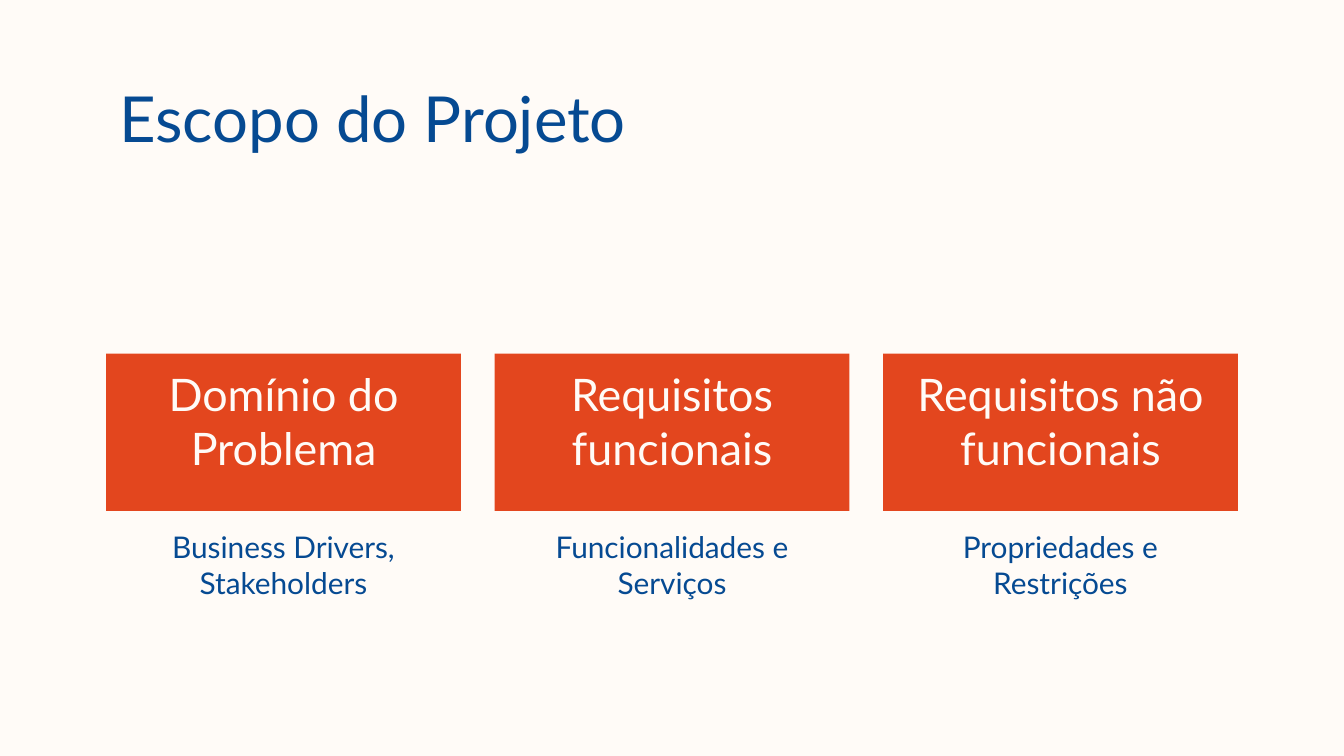
from pptx import Presentation
from pptx import util as u
from pptx.dml.color import RGBColor
from pptx.enum import shapes, text

COLORS = {"background": "FFFBF7", "blue": "064A92", "orange": "E3461E"}
LEFT, CARD_WIDTH, PITCH = 56.9, 190.1, 208.1
CARDS = [
    ("Domínio do Problema", "Business Drivers, Stakeholders"),
    ("Requisitos funcionais", "Funcionalidades e Serviços"),
    ("Requisitos não funcionais", "Propriedades e Restrições"),
]


def color(name):
    return RGBColor.from_string(COLORS[name])


def write(sp, content, size, ink, align=text.PP_ALIGN.LEFT, after=0):
    tf = sp.text_frame
    frame = {"word_wrap": True, "vertical_anchor": text.MSO_ANCHOR.TOP}
    for side in ("left", "top", "right", "bottom"):
        frame[f"margin_{side}"] = u.Pt(7.2)
    p = tf.paragraphs[0]
    r = p.add_run()
    r.text = content
    formats = [
        (tf, frame),
        (p, {"alignment": align, "space_after": u.Pt(after)}),
        (r.font, {"name": "Lato", "size": u.Pt(size)}),
    ]
    for target, values in formats:
        for key, value in values.items():
            setattr(target, key, value)
    r.font.color.rgb = color(ink)


def add_text(s, box, *args):
    sp = s.shapes.add_textbox(*map(u.Pt, box))
    write(sp, *args)


def add_block(s, box, *args):
    sp = s.shapes.add_shape(shapes.MSO_SHAPE.RECTANGLE, *map(u.Pt, box))
    sp.shadow.inherit = False
    sp.fill.solid()
    sp.fill.fore_color.rgb = color("orange")
    sp.line.fill.background()
    write(sp, *args)


def add_card(s, left, heading, detail):
    center = text.PP_ALIGN.CENTER
    add_text(s, (left, 276, CARD_WIDTH, 68.4), detail, 16, "blue", center, 12)
    add_block(s, (left, 189.5, CARD_WIDTH, 84.2), heading, 24, "background", center, 12)


def main():
    prs = Presentation()
    prs.slide_width, prs.slide_height = u.Pt(720), u.Pt(405)
    s = prs.slides.add_slide(prs.slide_layouts[6])
    s.background.fill.solid()
    s.background.fill.fore_color.rgb = color("background")
    add_text(s, (LEFT, 35.3, 607, 45.4), "Escopo do Projeto", 34, "blue")
    for i, (heading, detail) in enumerate(CARDS):
        add_card(s, LEFT + i * PITCH, heading, detail)
    prs.save("out.pptx")


if __name__ == "__main__":
    main()
